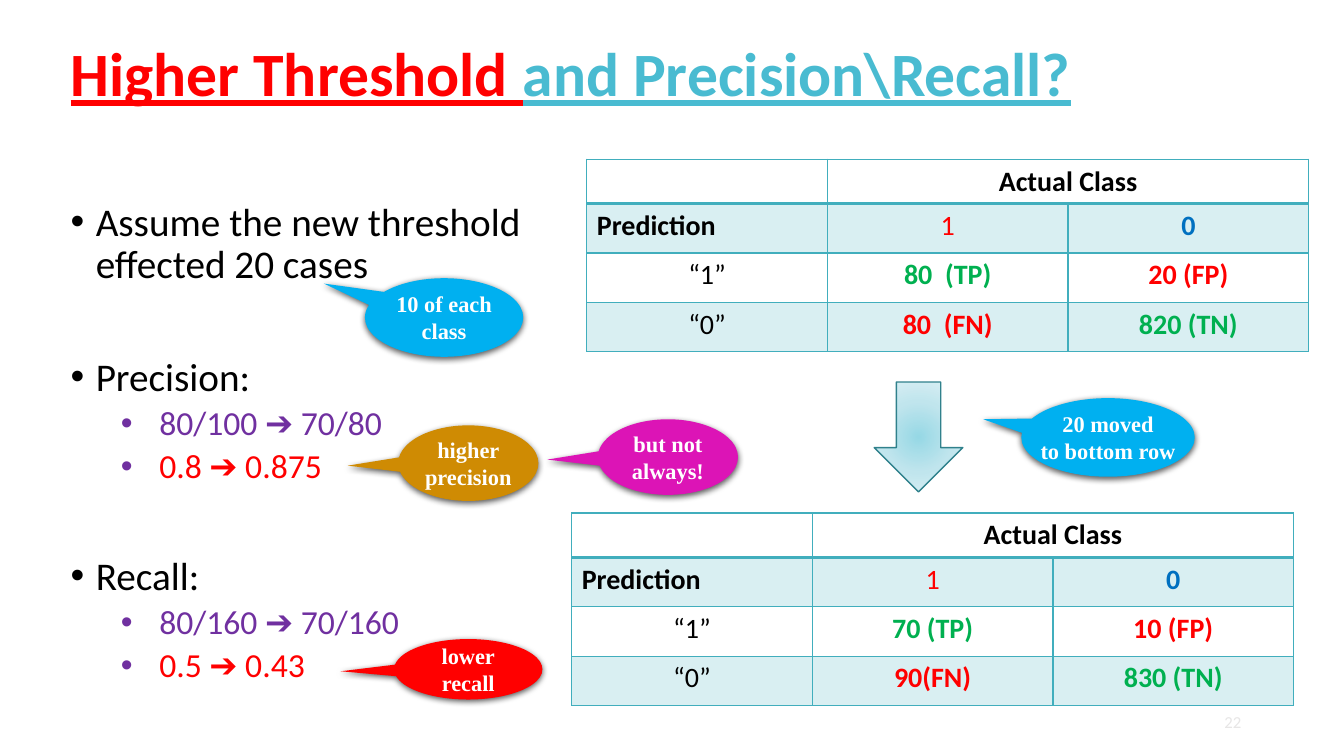
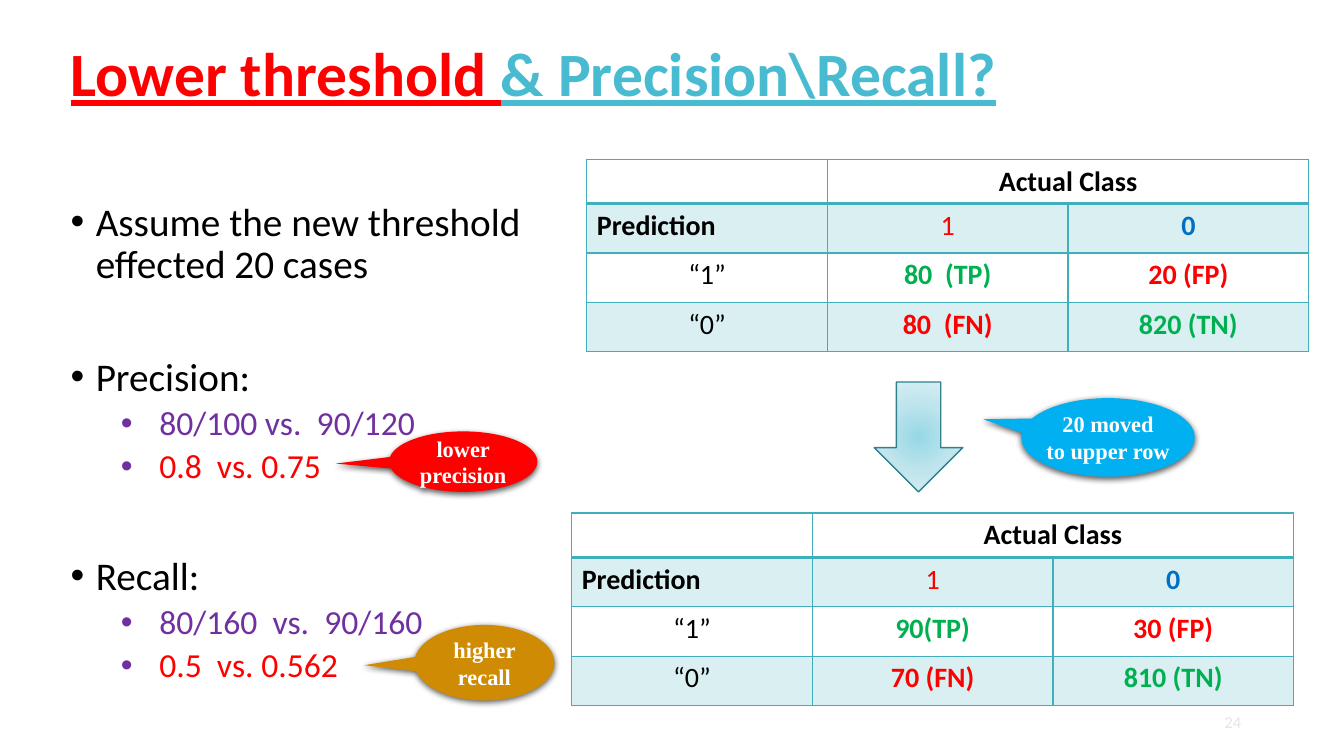
from pptx import Presentation
from pptx.dml.color import RGBColor
from pptx.enum.shapes import MSO_SHAPE
from pptx.enum.text import MSO_ANCHOR, MSO_AUTO_SIZE, PP_ALIGN
from pptx.oxml import parse_xml
from pptx.oxml.ns import nsdecls, qn
from pptx.util import Inches, Pt

CALLOUT = MSO_SHAPE.OVAL_CALLOUT
DOWN_ARROW = MSO_SHAPE.DOWN_ARROW
MIDDLE = MSO_ANCHOR.MIDDLE
NO_AUTOFIT = MSO_AUTO_SIZE.NONE
LEFT, CENTER, RIGHT = PP_ALIGN.LEFT, PP_ALIGN.CENTER, PP_ALIGN.RIGHT

BLACK, WHITE, RED, GREEN = "000000", "FFFFFF", "FF0000", "00B050"
BLUE, PURPLE, SKY, OCHRE, MAGENTA = "0070C0", "7030A0", "00B0F0", "CF8B03", "DC14B6"
TITLE_TEAL, GRID, BAND, PALE = "49BBD1", "41AEBD", "D9EFF2", "E7E6E6"
ARROW_EDGE = "30818C"

ROUND_TAIL = (-0.861, 0.033)
MOVED_TAIL = (-0.72, -0.231)
MOVED_BOX = (10.13, 3.95, 1.72, 0.78)
BEFORE = ["80  (TP)", "20 (FP)", "80  (FN)", "820 (TN)"]

SLIDES = [
    {
        "title": ("Higher Threshold ", "and Precision\\Recall?"),
        "precision": ("80/100 ➔ 70/80", "0.8 ➔ 0.875"),
        "recall": ("80/160 ➔ 70/160", "0.5 ➔ 0.43"),
        "after": ["70 (TP)", "10 (FP)", "90(FN)", "830 (TN)"],
        "callouts": [
            ("higher\nprecision", OCHRE, (3.95, 4.22, 1.39, 0.75), ROUND_TAIL),
            ("lower\nrecall", RED, (3.91, 6.34, 1.47, 0.6), ROUND_TAIL),
            ("10 of each\nclass", SKY, (3.62, 2.76, 1.57, 0.78), (-0.759, -0.431)),
            ("20 moved\nto bottom row", SKY, MOVED_BOX, MOVED_TAIL),
            ("but not\nalways!", MAGENTA, (5.93, 4.16, 1.39, 0.75), ROUND_TAIL),
        ],
        "number": "22",
    },
    {
        "title": ("Lower threshold ", "& Precision\\Recall?"),
        "precision": ("80/100 vs.  90/120", "0.8  vs. 0.75"),
        "recall": ("80/160  vs.  90/160", "0.5  vs. 0.562"),
        "after": ["90(TP)", "30 (FP)", "70 (FN)", "810 (TN)"],
        "callouts": [
            ("higher\nrecall", OCHRE, (4.11, 6.2, 1.39, 0.75), ROUND_TAIL),
            ("lower\nprecision", RED, (3.86, 4.28, 1.47, 0.6), ROUND_TAIL),
            ("20 moved\nto upper row", SKY, MOVED_BOX, MOVED_TAIL),
        ],
        "number": "24",
    },
]


def color(hex_string):
    return RGBColor.from_string(hex_string)


def style(paragraph, size, hex_string, bold=False, align=LEFT, face="Calibri"):
    paragraph.alignment = align
    paragraph.font.size = Pt(size)
    paragraph.font.name = face
    paragraph.font.bold = bold
    paragraph.font.color.rgb = color(hex_string)


prs = Presentation()
prs.slide_width, prs.slide_height = Inches(13.33), Inches(7.5)

for content in SLIDES:
    slide = prs.slides.add_slide(prs.slide_layouts[1])
    title, body = slide.placeholders
    for holder, box in ((title, (0.6, 0, 12.38, 1.52)), (body, (0.6, 1.96, 4.9, 5.1))):
        holder.left, holder.top, holder.width, holder.height = map(Inches, box)
        holder.text_frame.word_wrap = True
        holder.text_frame.auto_size = NO_AUTOFIT

    title.text_frame.vertical_anchor = MIDDLE
    heading = title.text_frame.paragraphs[0]
    style(heading, 44, RED, bold=True)
    heading.font.underline = True
    heading.line_spacing = 0.9
    for words, hue in zip(content["title"], (RED, TITLE_TEAL)):
        part = heading.add_run()
        part.text = words
        part.font.color.rgb = color(hue)

    points = [("Assume the new threshold effected 20 cases", 0, BLACK, 0)]
    for measure in ("Precision", "Recall"):
        ratio, value = content[measure.lower()]
        points += [(measure + ":", 0, BLACK, 50), (ratio, 1, PURPLE, 5), (value, 1, RED, 5)]
    for index, (words, level, hue, gap) in enumerate(points):
        point = body.text_frame.paragraphs[0] if index == 0 else body.text_frame.add_paragraph()
        point.text = words
        point.level = level
        margin, hanging = ((0.25, 0.25), (0.88, 0.38))[level]
        properties = point._p.get_or_add_pPr()
        properties.set("marL", str(Inches(margin)))
        properties.set("indent", str(-Inches(hanging)))
        bullet_hue = (BLACK, PURPLE)[level]
        for bullet in (f'<a:buClr {nsdecls("a")}><a:srgbClr val="{bullet_hue}"/></a:buClr>',
                       f'<a:buFont {nsdecls("a")} typeface="Arial"/>',
                       f'<a:buChar {nsdecls("a")} char="•"/>'):
            properties.append(parse_xml(bullet))
        style(point, (28, 24)[level], hue)
        point.line_spacing = 0.9
        point.space_before = Pt(gap)

    arrow = slide.shapes.add_shape(
        DOWN_ARROW, Inches(8.67), Inches(3.79), Inches(0.88), Inches(1.09))
    arrow.shadow.inherit = False
    arrow.line.color.rgb = color(ARROW_EDGE)
    arrow.line.width = Pt(1)
    arrow.fill.gradient()
    arrow_look = arrow._element.spPr
    stops = "".join(f'<a:gs pos="{position}"><a:srgbClr val="{hue}"/></a:gs>' for position, hue
                    in ((0, "96D8E5"), (50000, "C0E5ED"), (100000, "E0F2F6")))
    arrow_look.replace(arrow_look.find(qn("a:gradFill")), parse_xml(
        f'<a:gradFill {nsdecls("a")}><a:gsLst>{stops}</a:gsLst><a:path path="circle">'
        '<a:fillToRect l="50000" t="50000" r="50000" b="50000"/></a:path></a:gradFill>'))

    for words, hue, box, tail in content["callouts"]:
        callout = slide.shapes.add_shape(CALLOUT, *map(Inches, box))
        callout.adjustments[0], callout.adjustments[1] = tail
        callout.fill.solid()
        callout.fill.fore_color.rgb = color(hue)
        callout.line.fill.background()
        callout.shadow.inherit = False
        callout._element.spPr.find(qn("a:effectLst")).append(parse_xml(
            f'<a:outerShdw {nsdecls("a")} blurRad="{Pt(4.5)}" dist="{Pt(1.5)}" dir="5400000" '
            f'rotWithShape="0"><a:srgbClr val="{BLACK}"><a:alpha val="63000"/></a:srgbClr>'
            '</a:outerShdw>'))
        callout.text_frame.text = words
        callout.text_frame.word_wrap = False
        callout.text_frame.vertical_anchor = MIDDLE
        for line in callout.text_frame.paragraphs:
            style(line, 16, WHITE, True, CENTER, "Times New Roman")

    for left, top, counts in ((5.82, 1.58, BEFORE), (5.67, 5.09, content["after"])):
        matrix = slide.shapes.add_table(
            4, 3, Inches(left), Inches(top), Inches(7.16), Inches(1.91)).table
        matrix.first_row = matrix.horz_banding = False
        true_pos, false_pos, false_neg, true_neg = counts
        entries = [
            [("", BLACK, False), ("Actual Class", BLACK, True), ("", BLACK, False)],
            [("Prediction", BLACK, True), ("1", RED, False), ("0", BLUE, True)],
            [("“1”", BLACK, False), (true_pos, GREEN, True), (false_pos, RED, True)],
            [("“0”", BLACK, False), (false_neg, RED, True), (true_neg, GREEN, True)],
        ]
        matrix.cell(0, 1).merge(matrix.cell(0, 2))
        for r, row in enumerate(entries):
            matrix.rows[r].height = Inches(0.49 if r else 0.44)
            for c, (words, hue, bold) in enumerate(row):
                cell = matrix.cell(r, c)
                if r % 2:
                    cell.fill.solid()
                    cell.fill.fore_color.rgb = color(BAND)
                else:
                    cell.fill.background()
                cell.text = words
                style(cell.text_frame.paragraphs[0], 20, hue, bold,
                      LEFT if words == "Prediction" else CENTER)
                widths = {"L": 1, "R": 1, "T": 2 if r == 1 else 1, "B": 1 if r else 2}
                for place, (side, width) in enumerate(widths.items()):
                    cell._tc.get_or_add_tcPr().insert(place, parse_xml(
                        f'<a:ln{side} {nsdecls("a")} w="{Pt(width)}"><a:solidFill>'
                        f'<a:srgbClr val="{GRID}"/></a:solidFill></a:ln{side}>'))

    page = slide.shapes.add_textbox(Inches(11.41), Inches(6.96), Inches(1), Inches(0.4))
    page.text_frame.word_wrap = True
    page.text_frame.vertical_anchor = MIDDLE
    page.text_frame.text = content["number"]
    style(page.text_frame.paragraphs[0], 12, PALE, align=RIGHT)

prs.save("out.pptx")
